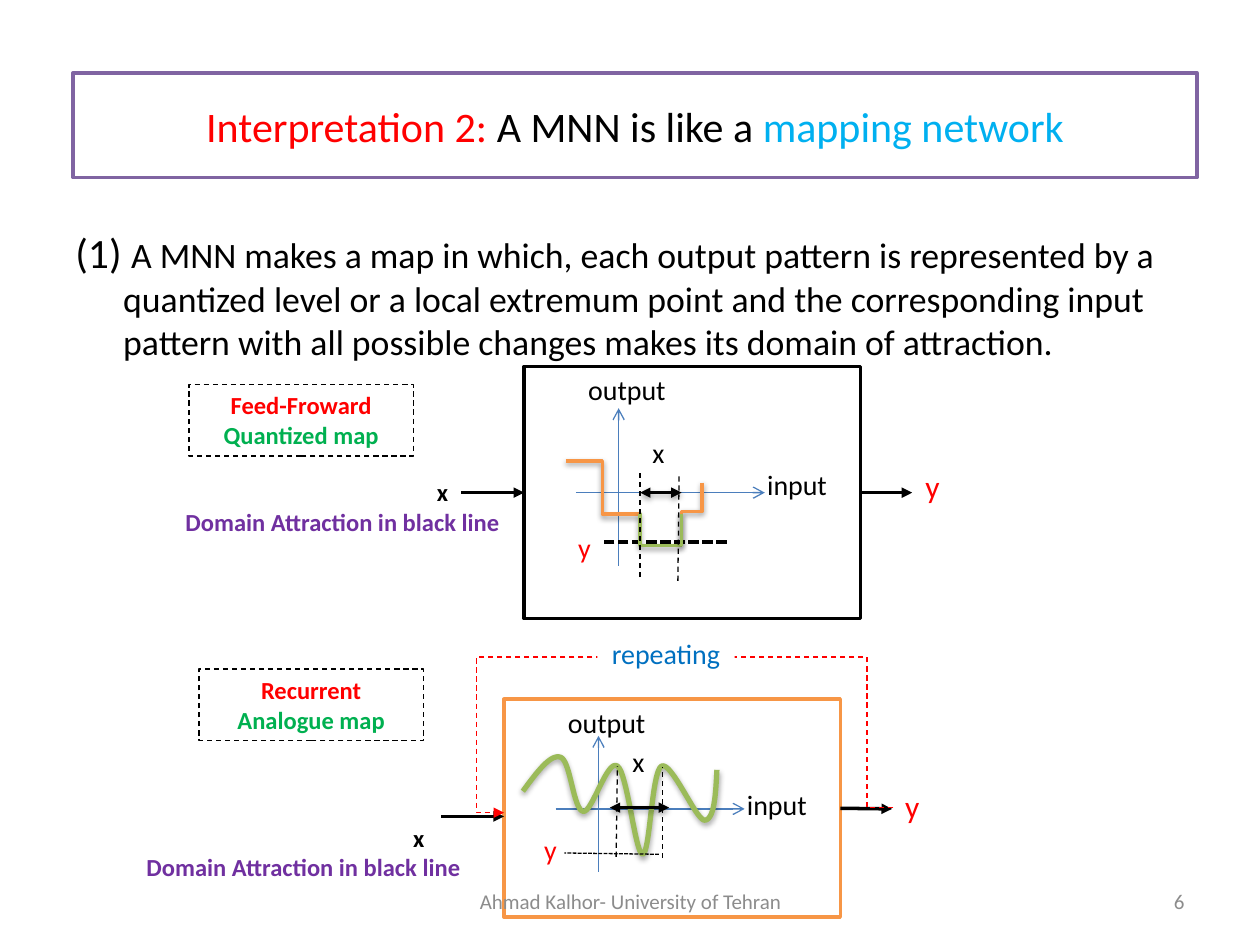
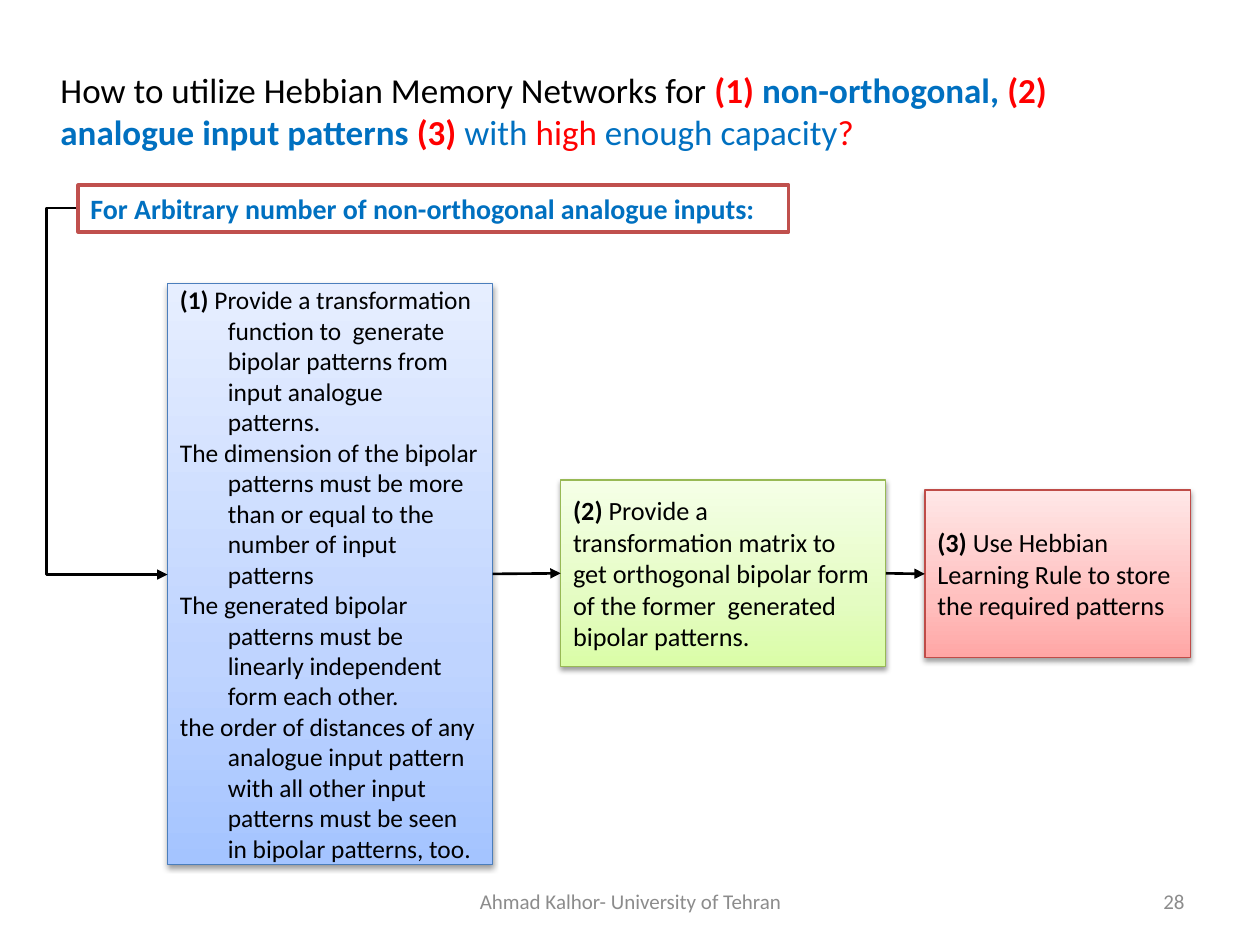
"""Build two slides on memory neural networks."""
from copy import deepcopy

from lxml.etree import SubElement
from pptx import Presentation
from pptx.dml.color import RGBColor
from pptx.enum.dml import MSO_LINE as DASH
from pptx.enum.shapes import MSO_CONNECTOR as LINK, MSO_SHAPE as SHAPE
from pptx.enum.text import MSO_ANCHOR as ANCHOR, MSO_AUTO_SIZE as FIT, PP_ALIGN as ALIGN
from pptx.oxml.ns import qn
from pptx.util import Pt

PX = 9144
FONT = "Calibri"
TITLE_ONLY = 5
COLORS = {
    "black": "000000", "white": "FFFFFF", "red": "FF0000", "sky": "00B0F0",
    "blue": "0070C0", "green": "00B050", "violet": "7030A0", "purple": "8064A2",
    "orange": "F79646", "lime": "9BBB59", "brick": "C0504D", "axis": "4B7EBC",
    "olive": "98B955", "rust": "BF4C48", "grey": "8C8C8C",
}
GRADIENTS = {
    "axis": ("A4C4FF", "BFD4FF", "E6EEFF"),
    "olive": ("DAFDA7", "E4FCC2", "F5FFE7"),
    "rust": ("FFA6A5", "FFC0BF", "FFE7E7"),
}


def rgb(name):
    """Return the named palette colour."""
    return RGBColor.from_string(COLORS[name])


def emu(*lengths):
    """Turn px into EMU."""
    return [round(length * PX) for length in lengths]


def write(frame, *paragraphs, size=16, color="black", bold=False, align=ALIGN.LEFT,
          anchor=ANCHOR.TOP, wrap=True, before=0, margins=(0,), hanging=0):
    """Fill a text frame with paragraphs of (text, overrides) runs."""
    frame.auto_size, frame.word_wrap, frame.vertical_anchor = FIT.NONE, wrap, anchor
    for index, runs in enumerate(paragraphs):
        paragraph = frame.add_paragraph() if index else frame.paragraphs[0]
        paragraph.alignment, paragraph.space_before = align, Pt(before)
        margin = margins[min(index, len(margins) - 1)]
        properties = paragraph._p.get_or_add_pPr()
        properties.set("marL", str(margin * PX))
        properties.set("indent", str(-hanging * PX))
        for text, changes in [(runs, {})] if isinstance(runs, str) else runs:
            run = paragraph.add_run()
            run.text = text
            run.font.name = FONT
            run.font.size = Pt(changes.get("size", size))
            run.font.bold = changes.get("bold", bold)
            run.font.color.rgb = rgb(changes.get("color", color))


def curve(points, steps=16):
    """Sample the cubic segments that run through the control points."""
    samples = [points[0]]
    for first in range(0, len(points) - 1, 3):
        a, b, c, d = points[first:first + 4]
        for step in range(1, steps + 1):
            t = step / steps
            u = 1 - t
            samples.append([u**3 * p + 3 * u * u * t * q + 3 * u * t * t * r + t**3 * s
                            for p, q, r, s in zip(a, b, c, d)])
    return samples


class Deck:
    """Hold the shared style and the current slide."""

    def __init__(self):
        self.show = Presentation()
        self.show.slide_width, self.show.slide_height = emu(1000, 750)

    def new_slide(self, place, *runs, outline=None, **fmt):
        self.slide = self.show.slides.add_slide(self.show.slide_layouts[TITLE_ONLY])
        title = self.slide.shapes.title
        title.left, title.top, title.width, title.height = emu(*place)
        if outline:
            self.paint(title, "white")
            self.stroke(title.line, outline, 2)
        write(title.text_frame, runs, anchor=ANCHOR.MIDDLE, **fmt)

    def footer(self, number):
        style = dict(size=12, color="grey", anchor=ANCHOR.MIDDLE)
        self.text((342, 695, 317, 40), "Ahmad Kalhor- University of Tehran",
                  align=ALIGN.CENTER, **style)
        self.text((717, 695, 233, 40), str(number), align=ALIGN.RIGHT, **style)

    def paint(self, shape, fill):
        if fill is None:
            shape.fill.background()
        elif fill in GRADIENTS:
            shape.fill.gradient()
            shape.fill.gradient_angle = 90
            stops = shape._element.spPr.find(".//" + qn("a:gsLst"))
            stops.append(deepcopy(stops[0]))
            for stop, position, shade in zip(shape.fill.gradient_stops, (0, .35, 1),
                                             GRADIENTS[fill]):
                stop.position = position
                stop.color.rgb = RGBColor.from_string(shade)
        else:
            shape.fill.solid()
            shape.fill.fore_color.rgb = rgb(fill)

    def stroke(self, line, color, width, dash=None):
        line.color.rgb = rgb(color)
        line.width = Pt(width)
        if dash:
            line.dash_style = dash

    def effects(self, shape, shadow):
        properties = shape._element.spPr
        effect = properties.find(qn("a:effectLst"))
        if effect is None:
            effect = SubElement(properties, qn("a:effectLst"))
        if shadow:
            cast = SubElement(effect, qn("a:outerShdw"), blurRad="40000", dist="20000",
                              dir="5400000", rotWithShape="0")
            black = SubElement(cast, qn("a:srgbClr"), val=COLORS["black"])
            SubElement(black, qn("a:alpha"), val=str(shadow * 1000))

    def text(self, place, *paragraphs, **fmt):
        frame = self.slide.shapes.add_textbox(*emu(*place)).text_frame
        write(frame, *paragraphs, **fmt)

    def box(self, place, *paragraphs, fill="white", outline=None, width=.75, dash=None,
            shadow=0, **fmt):
        box = self.slide.shapes.add_shape(SHAPE.RECTANGLE, *emu(*place))
        box.shadow.inherit = False
        self.paint(box, fill)
        if outline:
            self.stroke(box.line, outline, width, dash)
        else:
            box.line.fill.background()
        self.effects(box, shadow)
        write(box.text_frame, *paragraphs, **fmt)
        return box

    def line(self, start, end, color="black", width=.75, dash=None, head=None, tail=None,
             shadow=0, kind=LINK.STRAIGHT, source=None, target=None):
        link = self.slide.shapes.add_connector(kind, *emu(*start, *end))
        self.stroke(link.line, color, width, dash)
        for tag, arrow in (("a:headEnd", head), ("a:tailEnd", tail)):
            if arrow:
                SubElement(link.line._get_or_add_ln(), qn(tag), type=arrow)
        self.effects(link, shadow)
        if source:
            link.begin_connect(source, 3)
        if target:
            link.end_connect(target, 1)
        return link

    def elbow(self, start, end, *bends, turned=False, **style):
        (x1, y1), (x2, y2) = start, end
        if turned:
            middle_x, middle_y = (x1 + x2) / 2, (y1 + y2) / 2
            half_run, half_rise = (y2 - y1) / 2, (x1 - x2) / 2
            bends = [middle_x + bend - middle_y for bend in bends]
            x1, x2 = middle_x - half_run, middle_x + half_run
            y1, y2 = middle_y - half_rise, middle_y + half_rise
        link = self.line((x1, y1), (x2, y2), kind=LINK.ELBOW, **style)
        properties = link._element.spPr
        if turned:
            properties.find(qn("a:xfrm")).set("rot", "5400000")
        geometry = properties.find(qn("a:prstGeom"))
        geometry.set("prst", f"bentConnector{len(bends) + 2}")
        guides = geometry.find(qn("a:avLst"))
        if guides is None:
            guides = SubElement(geometry, qn("a:avLst"))
        for index, bend in enumerate(bends):
            origin, span = (y1, y2 - y1) if index % 2 else (x1, x2 - x1)
            SubElement(guides, qn("a:gd"), name=f"adj{index + 1}",
                       fmla=f"val {round((bend - origin) / span * 100000)}")

    def wave(self, points, color, width, shadow):
        start, *rest = [emu(*point) for point in curve(points)]
        builder = self.slide.shapes.build_freeform(*start)
        builder.add_line_segments(rest, close=False)
        wave = builder.convert_to_shape()
        wave.shadow.inherit = False
        self.paint(wave, None)
        self.stroke(wave.line, color, width)
        self.effects(wave, shadow)

    def map_panel(self, left, top, height, outline, axis, reach, input_y, label_height,
                  x_top, y_label, rise):
        right, origin = left + 267, left + 75
        panel = self.box((left, top, 267, height), outline=outline, width=2)
        arrow = dict(width=2, tail="triangle")
        self.line((left - 50, input_y), (left, input_y),
                  target=panel if input_y == axis else None, **arrow)
        self.line((right, axis), (left + 308, axis), source=panel, **arrow)
        self.line((left + 41, axis), (left + 191, axis), "axis", tail="arrow")
        self.line((origin, reach[1]), (origin, reach[0]), "axis", tail="arrow")
        for label, x, y, width, color in (
                ("output", left + 41, top, 100, "black"),
                ("input", left + 183, axis - rise, 100, "black"),
                ("x", left + 92, x_top, 50, "black"),
                ("y", *y_label, 50, "red")):
            self.text((x, y, width, label_height), label, color=color)
        self.text((left + 308, axis - rise, 32, label_height + 3), "y", size=18, color="red",
                  align=ALIGN.CENTER, wrap=False)

    def map_notes(self, tag_at, kind, map_name, fill, caption_at, x_margin):
        self.box((*tag_at, 178, 57), [(kind, {"color": "red"})], map_name, fill=fill,
                 outline="black", dash=DASH.DASH, size=14, color="green", bold=True,
                 align=ALIGN.CENTER)
        self.text((*caption_at, 280, 57), [("x", {"color": "black"})],
                  " Domain Attraction in black line", size=14, color="violet", bold=True,
                  margins=(x_margin, 0))


def mapping_slide(deck):
    """Show the quantized and the analogue map."""
    deck.new_slide((58, 58, 892, 83), ("Interpretation 2: ", {"color": "red"}),
                   ("A MNN is like a ", {}), ("mapping network", {"color": "sky"}),
                   outline="purple", size=24, align=ALIGN.CENTER)
    deck.box((50, 175, 900, 108),
             [("(1) ", {"size": 23.8}),
              ("A MNN makes a map in which, each output pattern is represented by a quantized "
               "level or a local extremum point and the corresponding input pattern with all "
               "possible changes makes its domain of attraction.", {})],
             size=20.4, before=4.8, margins=(38,), hanging=38)

    deck.map_panel(416, 291, 200, "black", axis=391, reach=(324, 449), input_y=391,
                   label_height=37, x_top=341, y_label=(449, 416), rise=25)
    deck.line((577, 430), (477, 430), width=2, dash=DASH.SQUARE_DOT)
    step = dict(width=2, shadow=38)
    deck.elbow((449, 366), (507, 408), 478, color="orange", **step)
    deck.elbow((557, 383), (541, 433), 406, turned=True, color="orange", **step)
    deck.elbow((507, 408), (541, 433), 508, color="lime", **step)
    deck.line((541, 433), (541, 408), "lime", **step)
    domain = dict(width=1.5, head="triangle", tail="triangle", shadow=35)
    deck.line((508, 391), (541, 391), **domain)
    deck.line((538, 461), (539, 377), dash=DASH.DASH)
    deck.line((508, 458), (508, 375), dash=DASH.DASH)
    deck.map_notes((150, 305), "Feed-Froward", "Quantized map", "white", (133, 374), 204)

    deck.map_panel(400, 555, 173, "orange", axis=642, reach=(584, 692), input_y=648,
                   label_height=32, x_top=586, y_label=(422, 656), rise=22)
    deck.wave([(415, 628), (426, 613), (437, 598), (445, 601), (453, 604), (455, 643),
               (463, 644), (470, 645), (482, 602), (490, 608), (498, 613), (504, 677),
               (510, 678), (516, 678), (517, 613), (525, 608), (533, 604), (552, 650),
               (559, 651), (567, 651), (568, 631), (569, 611)], "lime", 3, 35)
    deck.line((523, 678), (448, 677), dash=DASH.SQUARE_DOT)
    deck.line((489, 680), (490, 608), dash=DASH.DASH)
    deck.line((526, 681), (526, 609), dash=DASH.DASH)
    deck.elbow((709, 641), (400, 645), 688, 522, 378, color="red", dash=DASH.DASH,
               tail="triangle")
    deck.box((474, 500, 109, 37), "repeating", color="blue", align=ALIGN.CENTER)
    deck.map_notes((158, 531), "Recurrent", "Analogue map", None, (102, 648), 216)
    deck.line((484, 641), (531, 641), **domain)
    deck.footer(6)


def hebbian_slide(deck):
    """Show the three steps of a Hebbian memory network."""
    red, blue = {"color": "red"}, {"color": "blue"}
    strong_red, strong_blue = {**red, "bold": True}, {**blue, "bold": True}
    deck.new_slide((38, 25, 900, 125),
                   ("How to utilize Hebbian Memory Networks for ", {}), ("(1) ", strong_red),
                   ("non-orthogonal, ", strong_blue), ("(2)", strong_red),
                   (" analogue input patterns ", strong_blue), ("(3) ", strong_red),
                   ("with", blue), (" high ", red), ("enough capacity", blue), ("?", red),
                   size=20)
    deck.footer(28)
    strong = {"bold": True}
    step = dict(shadow=38, anchor=ANCHOR.MIDDLE)
    transform = deck.box(
        (133, 225, 258, 461),
        [("(1) ", strong), ("Provide a transformation function to  generate bipolar patterns "
                            "from input analogue patterns.", {})],
        "The dimension of the bipolar patterns must be more than or equal to the number of "
        "input patterns",
        "The generated bipolar patterns must be linearly independent form each other.",
        "the order of distances of any analogue input pattern with all other input patterns "
        "must be seen in bipolar patterns, too.",
        fill="axis", outline="axis", size=14.5, margins=(38,), hanging=38, **step)
    store = deck.box(
        (734, 389, 211, 133),
        [("(3)", strong), (" Use Hebbian Learning Rule to store the required patterns", {})],
        fill="rust", outline="rust", size=15, **step)
    orthogonal = deck.box(
        (445, 381, 258, 148),
        [("(2)", strong), (" Provide a transformation matrix to get orthogonal bipolar form "
                           "of the former  generated bipolar patterns.", {})],
        fill="olive", outline="olive", size=15, **step)
    arrow = dict(width=1.5, tail="triangle")
    deck.line((391, 455), (445, 455), source=transform, target=orthogonal, **arrow)
    deck.line((703, 455), (734, 455), source=orthogonal, target=store, **arrow)
    deck.elbow((62, 165), (133, 456), 37, **arrow)
    deck.box((62, 147, 564, 37), "For Arbitrary number of non-orthogonal analogue inputs:",
             outline="brick", width=2, color="blue", bold=True)


def main():
    """Build and save the deck."""
    deck = Deck()
    mapping_slide(deck)
    hebbian_slide(deck)
    deck.show.save("out.pptx")


if __name__ == "__main__":
    main()
